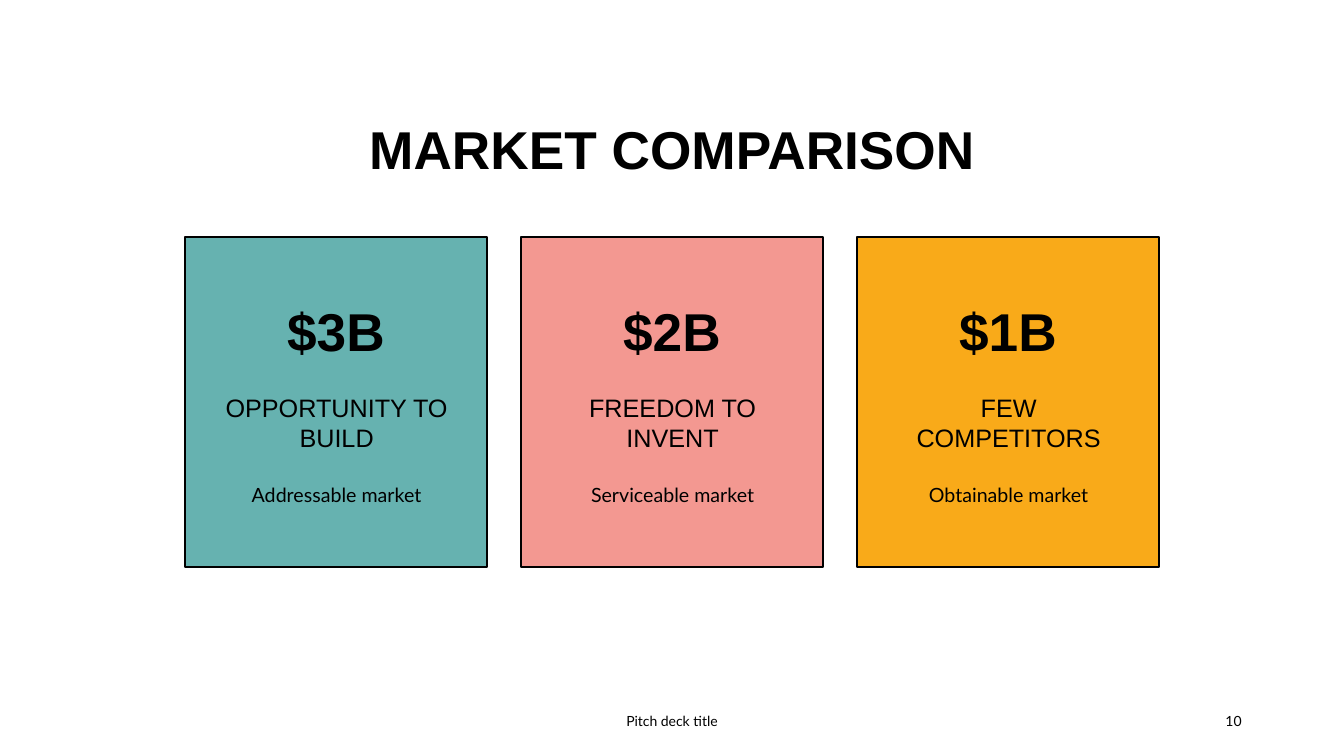
from pptx import Presentation
from pptx.dml.color import RGBColor
from pptx.enum.shapes import MSO_SHAPE
from pptx.enum.text import MSO_ANCHOR, PP_ALIGN
from pptx.util import Pt

BLACK = RGBColor(0x00, 0x00, 0x00)
WHITE = RGBColor(0xFF, 0xFF, 0xFF)
TEAL = RGBColor(0x66, 0xB2, 0xB0)
PINK = RGBColor(0xF3, 0x98, 0x91)
AMBER = RGBColor(0xF9, 0xAA, 0x19)

HEADING_FONT = "Arial"
BODY_FONT = "Lato"

MARKETS = [
    ("$3B", ["OPPORTUNITY TO BUILD"], "Addressable market", TEAL),
    ("$2B", ["FREEDOM TO INVENT"], "Serviceable market", PINK),
    ("$1B", ["FEW", "COMPETITORS"], "Obtainable market", AMBER),
]


def write_text(shape, lines, size, font_name, bold=False, spacing=1.0,
               align=PP_ALIGN.CENTER, anchor=MSO_ANCHOR.TOP):
    """Fill a shape with one paragraph per line, all in the same style."""
    frame = shape.text_frame
    frame.word_wrap = True
    frame.vertical_anchor = anchor
    frame.text = "\n".join(lines)
    for paragraph in frame.paragraphs:
        paragraph.alignment = align
        paragraph.line_spacing = spacing
        paragraph.font.size = Pt(size)
        paragraph.font.name = font_name
        paragraph.font.bold = bold
        paragraph.font.color.rgb = BLACK


def add_label(slide, left, top, width, height, lines, size, font_name, **style):
    box = slide.shapes.add_textbox(Pt(left), Pt(top), Pt(width), Pt(height))
    write_text(box, lines, size, font_name, **style)


def place_title(slide, left, top, width, height):
    title = slide.shapes.title
    title.left, title.top = Pt(left), Pt(top)
    title.width, title.height = Pt(width), Pt(height)
    write_text(title, ["MARKET COMPARISON"], 38, HEADING_FONT, bold=True,
               spacing=0.9, anchor=MSO_ANCHOR.BOTTOM)


def add_market_card(slide, left, top, width, height, market):
    amount, headline, caption, color = market
    card = slide.shapes.add_shape(MSO_SHAPE.RECTANGLE, Pt(left), Pt(top),
                                  Pt(width), Pt(height))
    card.shadow.inherit = False
    card.fill.solid()
    card.fill.fore_color.rgb = color
    card.line.color.rgb = BLACK
    card.line.width = Pt(1.75)
    write_text(card, [amount], 38, HEADING_FONT, bold=True, spacing=0.9)
    card.text_frame.margin_top = Pt(49)

    label_left, label_width = left + 18.5, width - 36
    add_label(slide, label_left, top + 107.3, label_width, 57.6, headline, 18,
              HEADING_FONT)
    add_label(slide, label_left, top + 169.2, label_width, 57.6, [caption], 14,
              BODY_FONT, spacing=Pt(20))


def add_market_cards(slide, left, top, width, height, gap):
    card_width = (width - gap * (len(MARKETS) - 1)) / len(MARKETS)
    for index, market in enumerate(MARKETS):
        add_market_card(slide, left + index * (card_width + gap), top,
                        card_width, height, market)


def add_footer(slide, left, top, width, height):
    add_label(slide, left + (width - 324) / 2, top, 324, height,
              ["Pitch deck title"], 10, BODY_FONT, anchor=MSO_ANCHOR.MIDDLE)
    add_label(slide, left + width - 216, top, 216, height, ["10"], 10,
              BODY_FONT, align=PP_ALIGN.RIGHT, anchor=MSO_ANCHOR.MIDDLE)


def main():
    presentation = Presentation()
    presentation.slide_width, presentation.slide_height = Pt(960), Pt(540)
    slide = presentation.slides.add_slide(presentation.slide_layouts[5])
    slide.background.fill.solid()
    slide.background.fill.fore_color.rgb = WHITE

    place_title(slide, 66, 28.8, 828, 104.4)
    add_market_cards(slide, 132, 169.2, 696, 236, gap=24)
    add_footer(slide, 66, 500.4, 828, 28.8)
    presentation.save("out.pptx")


if __name__ == "__main__":
    main()
